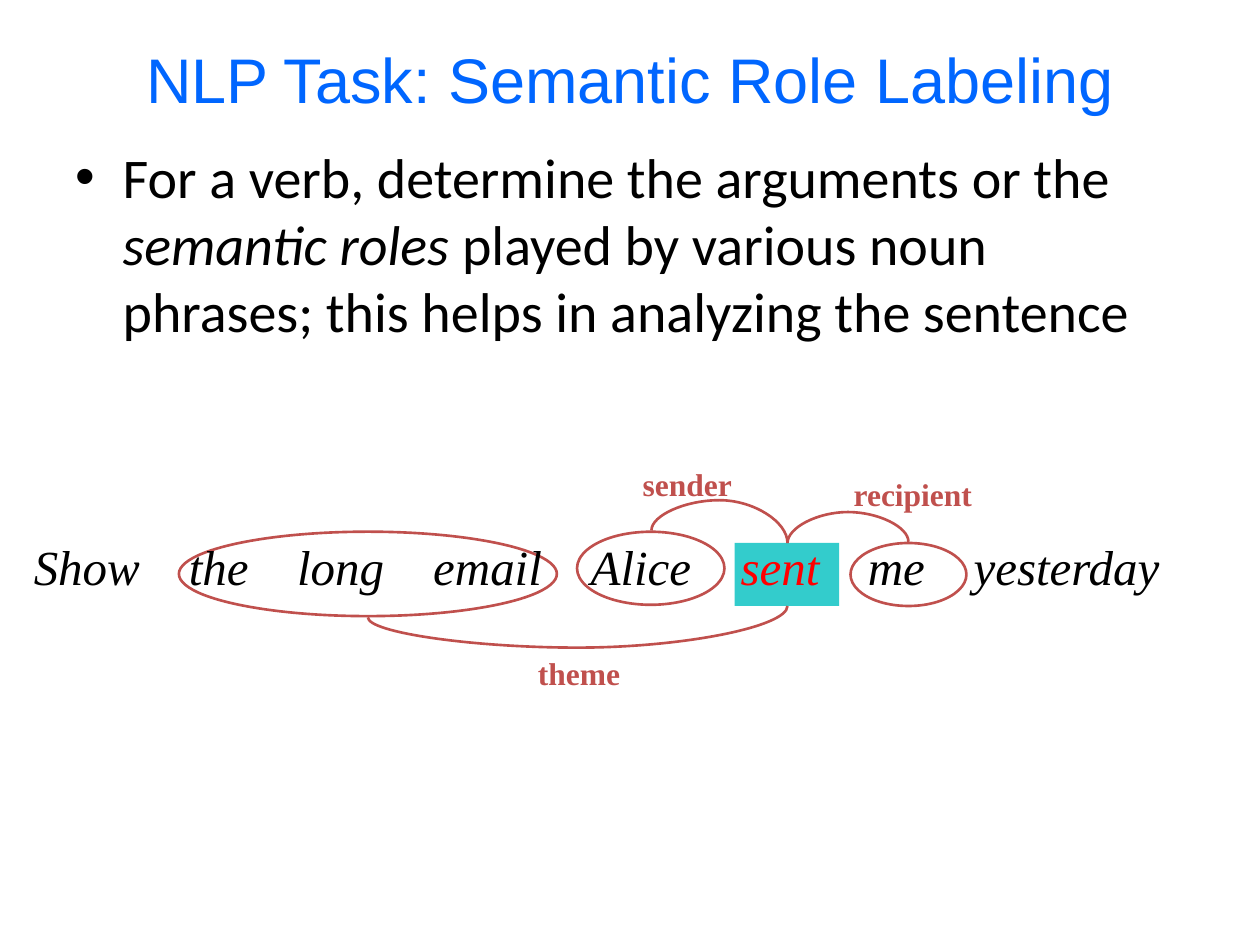
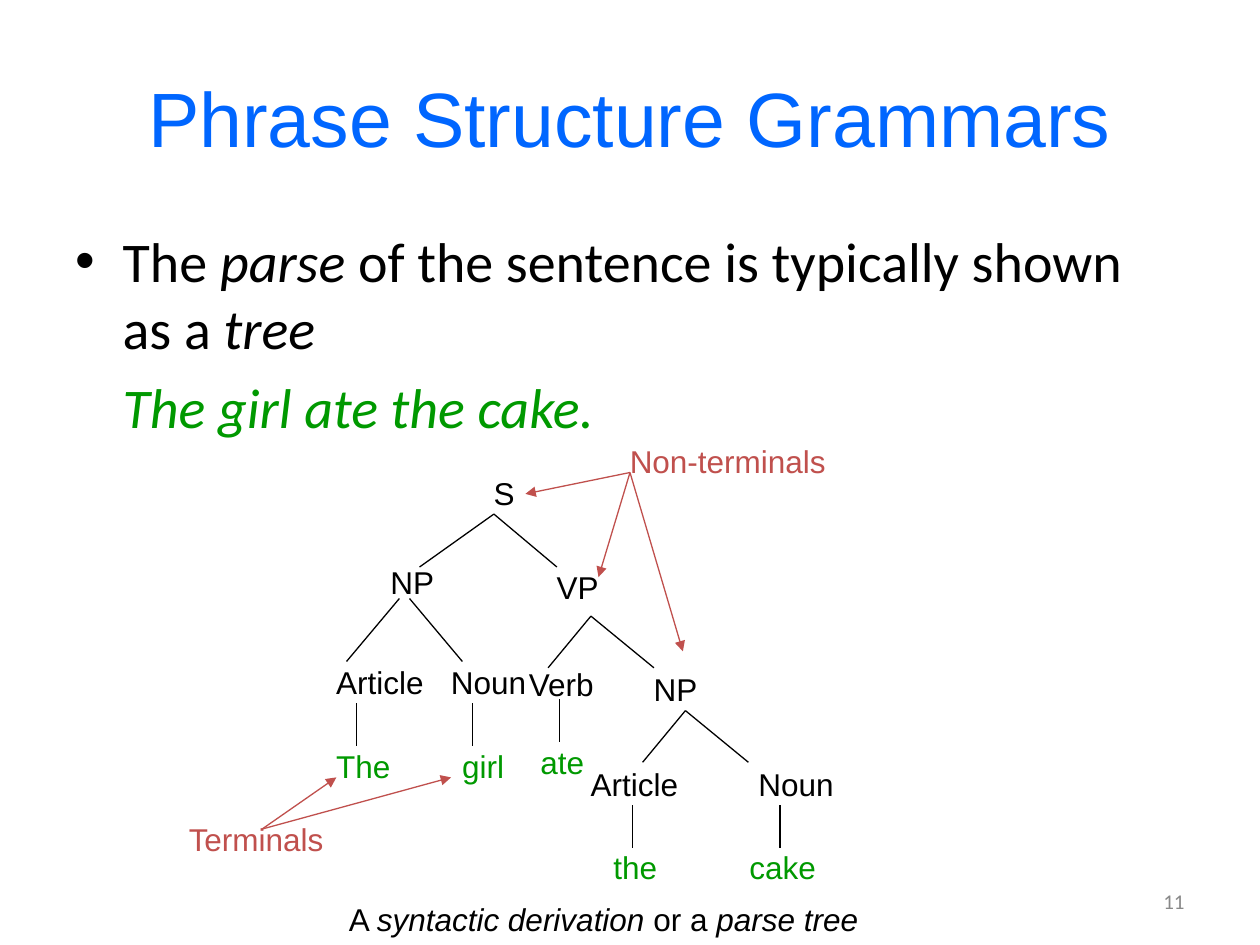
from dataclasses import dataclass
from typing import Any, NamedTuple

from lxml import etree
from pptx import Presentation
from pptx.dml.color import RGBColor
from pptx.enum.shapes import MSO_CONNECTOR, MSO_SHAPE
from pptx.enum.text import MSO_ANCHOR, MSO_AUTO_SIZE, PP_ALIGN
from pptx.oxml.ns import qn
from pptx.util import Emu, Inches, Pt

STRAIGHT, CURVE = MSO_CONNECTOR.STRAIGHT, MSO_CONNECTOR.CURVE
OVAL, RECTANGLE = MSO_SHAPE.OVAL, MSO_SHAPE.RECTANGLE
TOP, MIDDLE = MSO_ANCHOR.TOP, MSO_ANCHOR.MIDDLE
FIXED, GROW = MSO_AUTO_SIZE.NONE, MSO_AUTO_SIZE.SHAPE_TO_FIT_TEXT
LEFT, CENTER, RIGHT = PP_ALIGN.LEFT, PP_ALIGN.CENTER, PP_ALIGN.RIGHT

COLUMNS, ROWS = 100, 75
SLIDE_WIDTH, SLIDE_HEIGHT = Inches(10), Inches(7.5)
TITLE_ONLY = 5
LABEL_HEIGHT = 4
STEM_LENGTH = 3.4
ARC_BULGE = 2.4
HANGING_INDENT = 3.75


@dataclass(frozen=True)
class Theme:
    title: str = "0066FF"
    ink: str = "000000"
    accent: str = "C0504D"
    terminal: str = "009900"
    verb: str = "FF0000"
    verb_fill: str = "33CCCC"
    muted: str = "898989"
    sans: str = "Arial"
    body: str = "Calibri"
    serif: str = "Times New Roman"
    role_title_size: int = 36
    grammar_title_size: int = 44
    body_size: int = 32
    sentence_size: int = 28
    label_size: int = 18
    number_size: int = 12
    thin: float = 0.75
    medium: float = 1.5


THEME = Theme()


class Box(NamedTuple):
    left: float
    top: float
    width: float
    height: float = LABEL_HEIGHT


class Point(NamedTuple):
    x: float
    y: float


class Run(NamedTuple):
    text: str
    italic: bool = False
    colour: str = THEME.ink


class Label(NamedTuple):
    text: str
    box: Box
    colour: str = THEME.ink


class Fork(NamedTuple):
    left_apex: float
    right_apex: float
    top: float
    left_foot: float
    right_foot: float
    bottom: float


class Fan(NamedTuple):
    source: Point
    targets: list[Point]


class Arc(NamedTuple):
    outer: Point
    inner: Point


ROLE_TITLE_BOX = Box(5, 0, 90, 12.5)
GRAMMAR_TITLE_BOX = Box(5, 3, 90, 12.5)

ROLE_LABELS = [
    Label("sender", Box(50, 36.4, 9.1), THEME.accent),
    Label("recipient", Box(66.7, 37.2, 11.5), THEME.accent),
    Label("theme", Box(41.7, 51.4, 8.5), THEME.accent),
]
NOUN_PHRASES = [
    Box(45.8, 42.2, 11.7, 5.8),
    Box(67.5, 43.1, 9.2, 5),
    Box(14.2, 42.2, 30, 6.7),
]
VERB_BOX = Box(58.3, 43.1, 8.3, 5)
ROLE_ARCS = [
    Arc(Point(72.1, 43), Point(62.5, 43.1)),
    Arc(Point(29.2, 49), Point(62.5, 48.1)),
    Arc(Point(51.7, 42.1), Point(62.5, 43.1)),
]
SENTENCE_BOX = Box(1.7, 42.1, 91.6, 5.7)
WORD_STOPS = [12.3, 20.9, 31.7, 44.2, 56.1, 66.2, 74.6]
SENTENCE = [
    Run("Show\tthe\tlong\temail\tAlice\t", True),
    Run("sent", True, THEME.verb),
    Run("\tme\tyesterday", True),
]

TREE_LABELS = [
    Label("S", Box(38.2, 37.1, 3.7)),
    Label("NP", Box(30, 44.2, 5.6)),
    Label("VP", Box(43.2, 44.6, 5.8)),
    Label("Article", Box(25.7, 52.1, 9)),
    Label("Noun", Box(34.8, 52.1, 8.1)),
    Label("Verb", Box(41, 52.3, 7.4)),
    Label("NP", Box(50.9, 52.7, 5.6)),
    Label("Article", Box(45.9, 60.2, 9)),
    Label("Noun", Box(59.2, 60.2, 8.1)),
    Label("The", Box(25.7, 58.8, 6.4), THEME.terminal),
    Label("girl", Box(35.7, 58.8, 5.4), THEME.terminal),
    Label("ate", Box(41.9, 58.5, 5.6), THEME.terminal),
    Label("the", Box(47.7, 66.8, 5.6), THEME.terminal),
    Label("cake", Box(58.5, 66.8, 7.4), THEME.terminal),
    Label("Non-terminals", Box(49, 34.6, 17.6), THEME.accent),
    Label("Terminals", Box(14, 64.6, 13), THEME.accent),
]
FORKS = [
    Fork(39.2, 39.2, 40.8, 33.3, 44.2, 45),
    Fork(31.7, 32.5, 47.5, 27.5, 36.7, 52.5),
    Fork(46.9, 46.9, 48.9, 43.5, 51.9, 53),
    Fork(54.4, 54.4, 56.4, 51, 59.4, 60.5),
]
STEM_TOPS = [
    Point(28.3, 55.8),
    Point(37.5, 55.8),
    Point(44.4, 55.5),
    Point(50.2, 63.9),
    Point(61.9, 63.9),
]
POINTER_FANS = [
    Fan(Point(50, 37.5), [Point(41.7, 39.2), Point(47.5, 45.8), Point(54.2, 51.7)]),
    Fan(Point(20.8, 65.8), [Point(26.7, 61.7), Point(35.8, 61.7)]),
]


def across(columns: float) -> Emu:
    return Emu(round(SLIDE_WIDTH * columns / COLUMNS))


def down(rows: float) -> Emu:
    return Emu(round(SLIDE_HEIGHT * rows / ROWS))


def place(box: Box) -> tuple[Emu, Emu, Emu, Emu]:
    return across(box.left), down(box.top), across(box.width), down(box.height)


def apply_format(target: Any, values: dict[str, Any]) -> None:
    for attribute, value in values.items():
        setattr(target, attribute, value)


def write_runs(paragraph: Any, runs: list[Run], font: str, size: float, bold: bool = False) -> None:
    for text, italic, colour in runs:
        run = paragraph.add_run()
        run.text = text
        apply_format(run.font, {"name": font, "size": Pt(size), "bold": bold, "italic": italic})
        run.font.color.rgb = RGBColor.from_string(colour)


def add_text(slide: Any, box: Box, runs: list[Run], font: str, size: float, *,
             bold: bool = False, align: Any = LEFT, anchor: Any = TOP,
             wrap: bool = False) -> Any:
    frame = slide.shapes.add_textbox(*place(box)).text_frame
    apply_format(frame, {"word_wrap": wrap, "auto_size": FIXED if wrap else GROW,
                         "vertical_anchor": anchor})
    paragraph = frame.paragraphs[0]
    paragraph.alignment = align
    write_runs(paragraph, runs, font, size, bold)
    return frame


def add_titled_slide(deck: Any, text: str, box: Box, size: float) -> Any:
    slide = deck.slides.add_slide(deck.slide_layouts[TITLE_ONLY])
    title = slide.shapes.title
    apply_format(title, dict(zip(("left", "top", "width", "height"), place(box))))
    apply_format(title.text_frame, {"word_wrap": True, "auto_size": FIXED,
                                    "vertical_anchor": MIDDLE})
    paragraph = title.text_frame.paragraphs[0]
    paragraph.alignment = CENTER
    write_runs(paragraph, [Run(text, colour=THEME.title)], THEME.sans, size)
    return slide


def add_bullet(slide: Any, box: Box, runs: list[Run]) -> Any:
    frame = add_text(slide, box, runs, THEME.body, THEME.body_size, wrap=True)
    properties = frame.paragraphs[0]._p.get_or_add_pPr()
    properties.set("marL", str(across(HANGING_INDENT)))
    properties.set("indent", str(-across(HANGING_INDENT)))
    etree.SubElement(properties, qn("a:buFont"), typeface=THEME.sans)
    etree.SubElement(properties, qn("a:buChar"), char="•")
    return frame


def add_outline(slide: Any, preset: Any, box: Box, fill: str = "", line: str = "") -> None:
    shape = slide.shapes.add_shape(preset, *place(box))
    shape.shadow.inherit = False
    for part, colour in ((shape.fill, fill), (shape.line.fill, line)):
        if colour:
            part.solid()
            part.fore_color.rgb = RGBColor.from_string(colour)
        else:
            part.background()
    if line:
        shape.line.width = Pt(THEME.medium)


def add_line(slide: Any, start: Point, end: Point, colour: str = THEME.ink,
             width: float = THEME.thin, kind: Any = STRAIGHT, arrow: bool = False) -> Any:
    connector = slide.shapes.add_connector(
        kind, across(start.x), down(start.y), across(end.x), down(end.y))
    connector.line.color.rgb = RGBColor.from_string(colour)
    connector.line.width = Pt(width)
    if arrow:
        etree.SubElement(connector.line._get_or_add_ln(), qn("a:tailEnd"), type="triangle")
    etree.SubElement(connector._element.spPr, qn("a:effectLst"))
    return connector


def add_arc(slide: Any, arc: Arc) -> None:
    outer, inner = arc
    span, rise = abs(inner.x - outer.x), abs(inner.y - outer.y)
    connector = add_line(slide, outer, inner, THEME.accent, THEME.medium, CURVE)
    turned = Box((outer.x + inner.x - rise) / 2, (outer.y + inner.y - span) / 2, rise, span)
    apply_format(connector, dict(zip(("left", "top", "width", "height"), place(turned))))
    frame = connector._element.spPr.find(qn("a:xfrm"))
    frame.set("rot", str(90 * 60000))
    frame.set("flipH", str(int(outer.y > inner.y)))
    frame.set("flipV", str(int(outer.x < inner.x)))
    geometry = connector._element.spPr.find(qn("a:prstGeom"))
    guides = geometry.find(qn("a:avLst"))
    if guides is None:
        guides = etree.SubElement(geometry, qn("a:avLst"))
    bend = round(-ARC_BULGE / rise * 100000)
    etree.SubElement(guides, qn("a:gd"), name="adj1", fmla=f"val {bend}")


def build_role_slide(deck: Any) -> None:
    slide = add_titled_slide(deck, "NLP Task: Semantic Role Labeling", ROLE_TITLE_BOX,
                             THEME.role_title_size)
    add_bullet(slide, Box(5, 10.8, 90, 49.5), [
        Run("For a verb, determine the arguments or the "),
        Run("semantic roles ", True),
        Run("played by various noun phrases; this helps in analyzing the sentence"),
    ])
    add_outline(slide, RECTANGLE, VERB_BOX, fill=THEME.verb_fill)
    for phrase in NOUN_PHRASES:
        add_outline(slide, OVAL, phrase, line=THEME.accent)
    for text, box, colour in ROLE_LABELS:
        add_text(slide, box, [Run(text, colour=colour)], THEME.serif, THEME.label_size,
                 bold=True, align=CENTER, anchor=MIDDLE)
    for arc in ROLE_ARCS:
        add_arc(slide, arc)
    sentence = add_text(slide, SENTENCE_BOX, SENTENCE, THEME.serif, THEME.sentence_size,
                        anchor=MIDDLE)
    stops = etree.SubElement(sentence.paragraphs[0]._p.get_or_add_pPr(), qn("a:tabLst"))
    for stop in WORD_STOPS:
        etree.SubElement(stops, qn("a:tab"), pos=str(across(stop)), algn="l")


def build_grammar_slide(deck: Any) -> None:
    slide = add_titled_slide(deck, "Phrase Structure Grammars", GRAMMAR_TITLE_BOX,
                             THEME.grammar_title_size)
    body = add_bullet(slide, Box(5, 17.5, 89, 49.5), [
        Run("The "), Run("parse", True),
        Run(" of the sentence is typically shown as a "), Run("tree", True),
    ])
    example = body.add_paragraph()
    example._p.get_or_add_pPr().set("marL", str(across(HANGING_INDENT)))
    example.space_before = Pt(THEME.body_size * 0.2)
    write_runs(example, [Run("The girl ate the cake.", True, THEME.terminal)],
               THEME.body, THEME.body_size)
    for fork in FORKS:
        add_line(slide, Point(fork.left_apex, fork.top), Point(fork.left_foot, fork.bottom))
        add_line(slide, Point(fork.right_apex, fork.top), Point(fork.right_foot, fork.bottom))
    for top in STEM_TOPS:
        add_line(slide, top, Point(top.x, top.y + STEM_LENGTH))
    for source, targets in POINTER_FANS:
        for target in targets:
            add_line(slide, source, target, THEME.accent, arrow=True)
    for text, box, colour in TREE_LABELS:
        add_text(slide, box, [Run(text, colour=colour)], THEME.sans, THEME.label_size)
    add_text(slide, Box(26.7, 70.9, 42.6), [
        Run("A "), Run("syntactic derivation ", True), Run("or a "), Run("parse tree", True),
    ], THEME.sans, THEME.label_size)
    add_text(slide, Box(71.7, 69.5, 23.3), [Run("11", colour=THEME.muted)], THEME.body,
             THEME.number_size, align=RIGHT, anchor=MIDDLE, wrap=True)


def main() -> None:
    deck = Presentation()
    apply_format(deck, {"slide_width": SLIDE_WIDTH, "slide_height": SLIDE_HEIGHT})
    build_role_slide(deck)
    build_grammar_slide(deck)
    deck.save("out.pptx")


if __name__ == "__main__":
    main()
